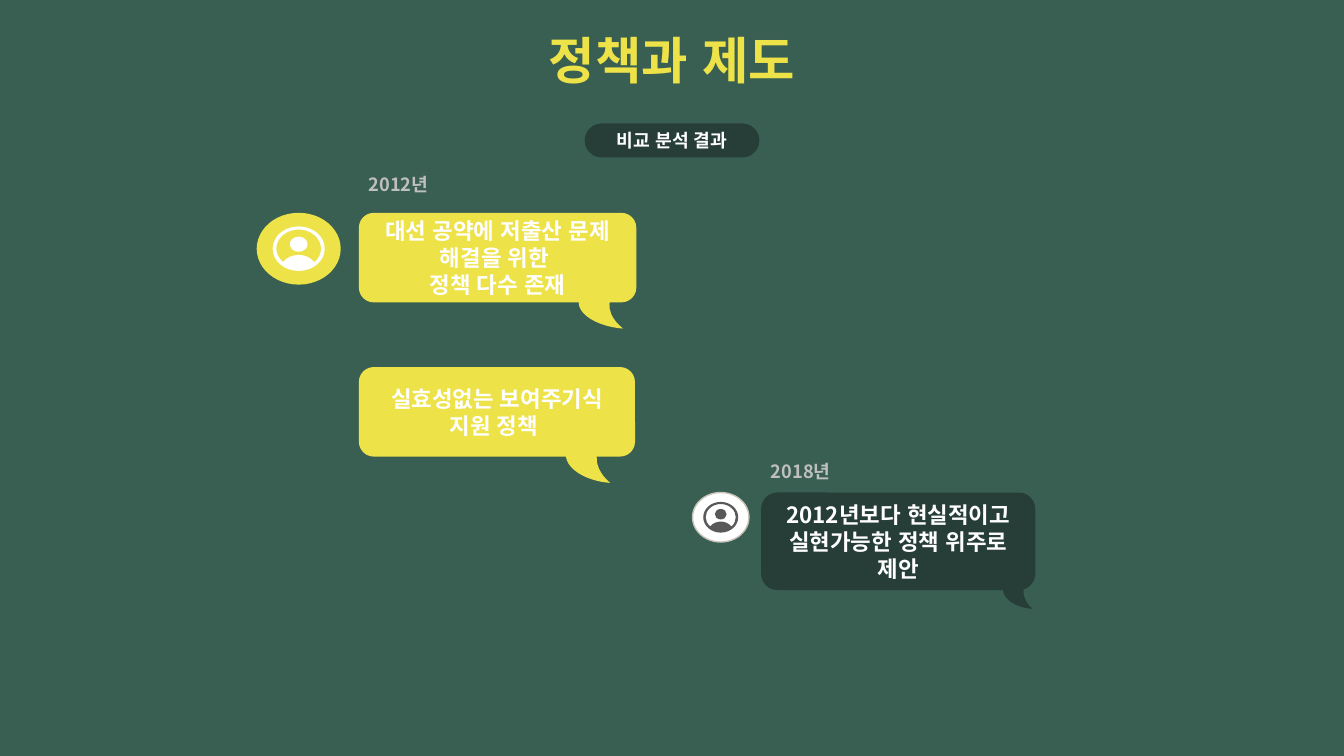
from dataclasses import dataclass
from math import ceil, cos, radians, sin, tan
from typing import NamedTuple, Optional

from lxml import etree
from pptx import Presentation, util as u
from pptx.dml.color import RGBColor
from pptx.enum import lang, shapes as s, text as t
from pptx.oxml import ns


@dataclass(frozen=True)
class Theme:
    font: str = "Noto Sans CJK KR"
    green: str = "395F52"
    dark: str = "273E38"
    yellow: str = "EEE249"
    white: str = "FFFFFF"
    gray: str = "BFBFBF"
    ink: str = "595959"
    rim: str = "C9C4BB"
    head: int = 36
    body: int = 16
    note: int = 13


class Box(NamedTuple):
    """Left, top, width and height in percent of the slide."""
    x: float
    y: float
    w: float
    h: float


class Face(NamedTuple):
    box: Box
    fill: str
    icon: str
    rim: Optional[str] = None


class Talk(NamedTuple):
    box: Box
    tail: Box
    fill: str
    lines: list[str]
    face: Optional[Face] = None
    year: str = ""
    top: float = 0


LOOK = Theme()
WIDE, HIGH = u.Inches(13.333), u.Inches(7.5)
TILT = 4.4
INSET = 0.19  # icon margin as a share of its disc

TALKS = [
    Talk(Box(26.7, 28.15, 20.65, 11.85), Box(43.05, 36.98, 3.45, 6.25), LOOK.yellow,
         ["대선 공약에 저출산 문제 해결을 위한 ", "정책 다수 존재"],
         Face(Box(19.1, 28.15, 6.25, 9.5), LOOK.yellow, LOOK.white), "2012년", 22.25),
    Talk(Box(26.7, 48.55, 20.55, 11.85), Box(42.1, 56.85, 3.45, 6.8), LOOK.yellow,
         ["실효성없는 보여주기식 지원 정책 "]),
    Talk(Box(56.63, 65.15, 20.4, 12.9), Box(74.62, 75.6, 2.3, 4.8), LOOK.dark,
         ["2012년보다 현실적이고 실현가능한 정책 위주로 제안"],
         Face(Box(51.53, 65.15, 4.2, 6.55), LOOK.white, LOOK.ink, LOOK.rim), "2018년", 60.25),
]


def place(box: Box) -> tuple[int, int, int, int]:
    return (round(box.x * WIDE / 100), round(box.y * HIGH / 100),
            round(box.w * WIDE / 100), round(box.h * HIGH / 100))


def paint(shape, fill: str, rim: Optional[str] = None) -> None:
    shape.shadow.inherit = False
    shape.fill.solid()
    shape.fill.fore_color.rgb = RGBColor.from_string(fill)
    if rim:
        shape.line.color.rgb = RGBColor.from_string(rim)
        shape.line.width = u.Pt(1)
    else:
        shape.line.fill.background()


def draw(group, kind: s.MSO_SHAPE, box: Box, fill: str, rim: Optional[str] = None):
    shape = group.add_shape(kind, *place(box))
    paint(shape, fill, rim)
    return shape


def write(shape, lines: list[str], size: int, color: str,
          align=t.PP_ALIGN.CENTER, anchor=t.MSO_ANCHOR.MIDDLE) -> None:
    frame = shape.text_frame
    frame.word_wrap = True
    frame.vertical_anchor = anchor
    for i, line in enumerate(lines):
        para = frame.add_paragraph() if i else frame.paragraphs[0]
        para.alignment = align
        run = para.add_run()
        run.text = line
        font = run.font
        font.name, font.size, font.bold = LOOK.font, u.Pt(size), True
        font.language_id = lang.MSO_LANGUAGE_ID.KOREAN
        font.color.rgb = RGBColor.from_string(color)
        props = run._r.get_or_add_rPr()
        props.set("kern", "0")
        etree.SubElement(props, ns.qn("a:ea")).set("typeface", LOOK.font)


def arc(y: float, r: float, start: int, end: int) -> list[tuple[float, float]]:
    """Bezier points after the start of an arc centred at (0.5, y) of a unit square."""
    count = ceil(abs(end - start) / 90)
    step = radians((end - start) / count)
    pull = 4 / 3 * tan(step / 4)
    points = []
    for i in range(count):
        a = radians(start) + i * step
        b = a + step
        points += [(0.5 + r * (cos(a) - pull * sin(a)), y + r * (sin(a) + pull * cos(a))),
                   (0.5 + r * (cos(b) + pull * sin(b)), y + r * (sin(b) - pull * cos(b))),
                   (0.5 + r * cos(b), y + r * sin(b))]
    return points


def bend(shape) -> None:
    """Turn each three line points of an outline into one Bezier curve."""
    lines = list(shape._element.iter(ns.qn("a:lnTo")))
    for trio in zip(*[iter(lines)] * 3):
        curve = etree.Element(ns.qn("a:cubicBezTo"))
        trio[0].addprevious(curve)
        for line in trio:
            curve.append(line[0])
            line.getparent().remove(line)


def user(group, box: Box, fill: str) -> None:
    """Ring with a head and shoulders inside."""
    x, y, w, h = place(box)
    rings = [arc(0.4, 0.17, 0, 360),
             arc(1, 0.36, 326, 214) + arc(0.5, 0.43, 135, 405),
             arc(0.5, 0.5, 0, 360)]
    rings = [[(x + w * px, y + h * py) for px, py in ring] for ring in rings]
    pen = group.build_freeform(*rings[0][-1])
    for i, ring in enumerate(rings):
        if i:
            pen.move_to(*ring[-1])
        pen.add_line_segments(ring, close=True)
    shape = pen.convert_to_shape()
    bend(shape)
    paint(shape, fill)


def avatar(group, face: Face) -> None:
    disc = face.box
    draw(group, s.MSO_SHAPE.OVAL, disc, face.fill, face.rim)
    part = 1 - 2 * INSET
    user(group, Box(disc.x + disc.w * INSET, disc.y + disc.h * INSET,
                    disc.w * part, disc.h * part), face.icon)


def speak(slide, talk: Talk) -> None:
    group = slide.shapes.add_group_shape().shapes
    if talk.face:
        avatar(group, talk.face)
    tail = draw(group, s.MSO_SHAPE.MOON, talk.tail, talk.fill)
    tail.adjustments[0] = 0.667
    tail.rotation = TILT
    bubble = draw(group, s.MSO_SHAPE.ROUNDED_RECTANGLE, talk.box, talk.fill)
    write(bubble, talk.lines, LOOK.body, LOOK.white)
    if talk.year:
        label = group.add_textbox(*place(Box(talk.box.x, talk.top, 16.4, 4.3)))
        write(label, [talk.year], LOOK.note, LOOK.gray, t.PP_ALIGN.LEFT, t.MSO_ANCHOR.TOP)


def main() -> None:
    deck = Presentation()
    deck.slide_width, deck.slide_height = WIDE, HIGH
    slide = deck.slides.add_slide(deck.slide_layouts[5])
    slide.background.fill.solid()
    slide.background.fill.fore_color.rgb = RGBColor.from_string(LOOK.green)

    title = slide.shapes.title
    title.left, title.top, title.width, title.height = place(Box(25, 3.2, 50, 9.5))
    write(title, ["정책과 제도"], LOOK.head, LOOK.yellow, anchor=t.MSO_ANCHOR.TOP)

    pill = draw(slide.shapes, s.MSO_SHAPE.ROUNDED_RECTANGLE,
                Box(43.5, 16.33, 13, 4.5), LOOK.dark)
    pill.adjustments[0] = 0.5
    write(pill, ["비교 분석 결과"], LOOK.note, LOOK.white)

    for talk in TALKS:
        speak(slide, talk)
    deck.save("out.pptx")


if __name__ == "__main__":
    main()
